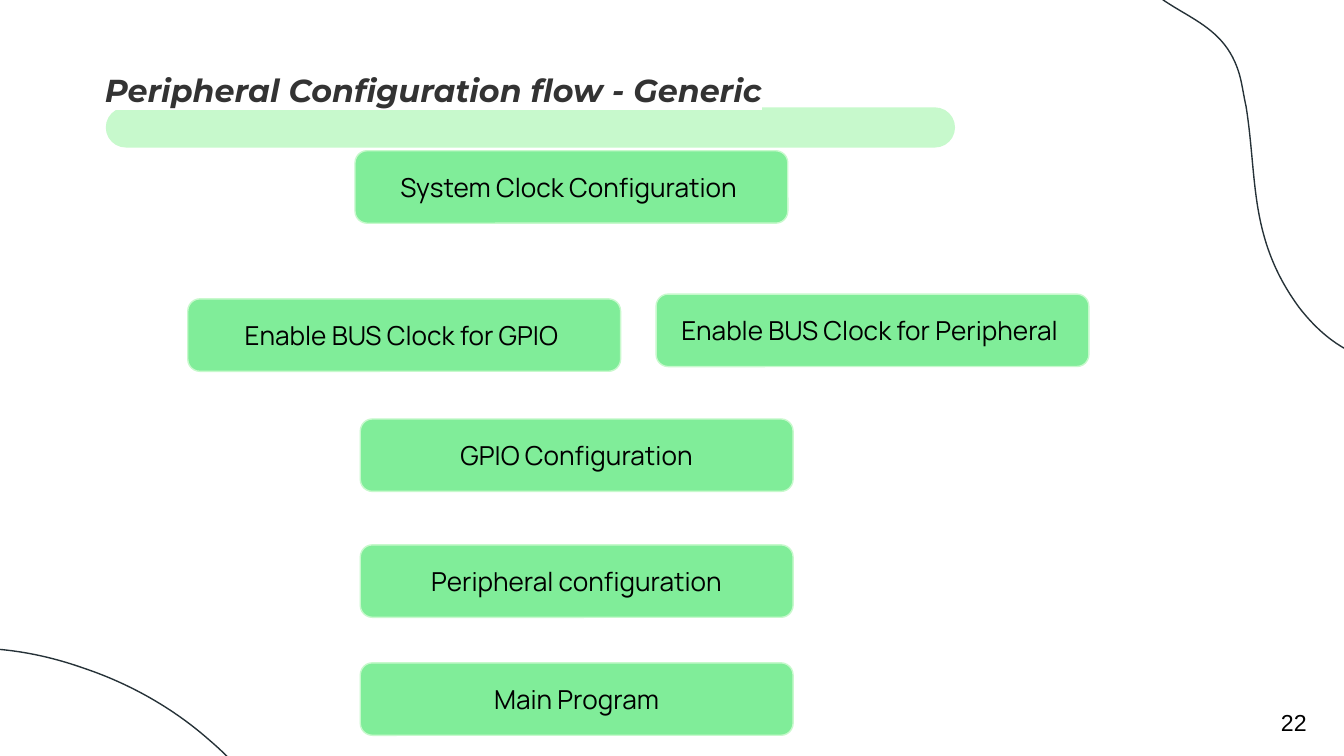
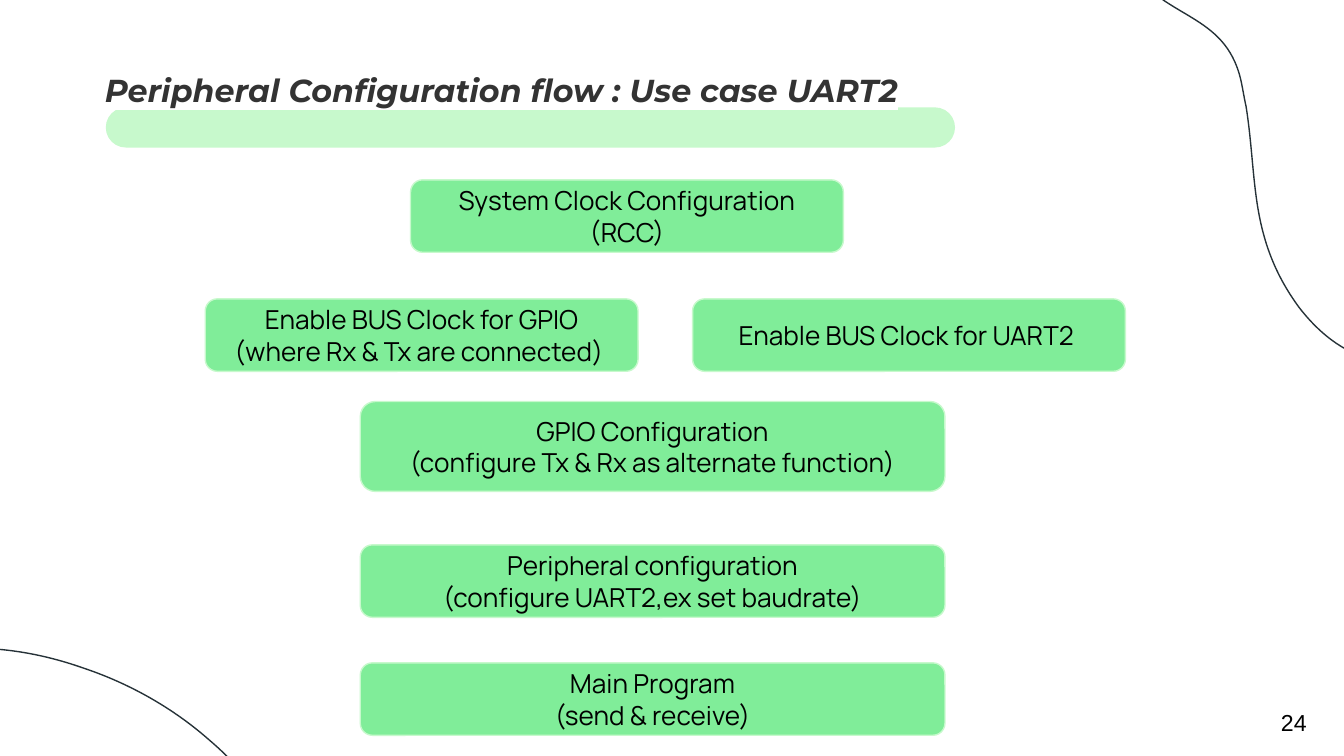
from copy import deepcopy
from math import cos, radians, sin

from lxml.etree import Element, SubElement
from pptx import Presentation
from pptx.dml.color import RGBColor
from pptx.enum.shapes import MSO_SHAPE as Preset
from pptx.enum.text import MSO_ANCHOR as Anchor, MSO_AUTO_SIZE as AutoSize, PP_ALIGN as Align
from pptx.oxml.ns import qn
from pptx.util import Cm, Pt

COLORS = {
    "step": "80ED99",
    "pale": "C7F9CC",
    "curve": "263238",
    "title": "333333",
    "text": "000000",
    "paper": "FFFFFF",
}

BOX_WIDTH, BOX_HEIGHT = 8.18, 1.37
WIDE = 11.05
COLUMN = 6.81
BUS_TOP, PERIPHERAL_TOP, MAIN_TOP = 5.65, 10.3, 12.53

BLOB_WIDTH, BLOB_HEIGHT = 11.23, 8.26
BLOB_ANGLE = 261.3
BLOB_CENTER = (25.73, 1.51)
CORNER_BLOBS = [(BLOB_CENTER, BLOB_ANGLE), ((0.41, 16.37), 220.5)]
BLOB_CURVES = [
    (21.13, -1.19),
    (21.18, -0.99), (21.29, -0.74), (21.44, -0.51),
    (22.1, 0.38), (23.22, 0.28), (23.47, 1.6),
    (23.5, 1.75), (23.52, 1.88), (23.55, 2.01),
    (23.65, 2.64), (23.67, 3.23), (23.75, 3.78),
    (23.85, 4.47), (24.05, 5.13), (24.56, 5.82),
    (25.45, 6.96), (26.49, 7.06), (27.64, 6.63),
    (29.62, 5.92), (30.28, 4.01), (29.97, 2.01),
    (29.85, 1.14), (29.54, 0.25), (29.06, -0.56),
    (27.58, -3.15), (24.94, -4.06), (22.61, -3.05),
    (21.89, -2.77), (21.01, -2.08), (21.13, -1.19),
]

SLIDES = [
    ("Peripheral Configuration flow - Generic", "22", [
        ("System Clock Configuration ", 6.71, 2.85),
        ("Enable BUS Clock for GPIO ", 3.55, BUS_TOP),
        ("GPIO Configuration", COLUMN, 7.92),
        ("Peripheral configuration", COLUMN, PERIPHERAL_TOP),
        ("Main Program", COLUMN, MAIN_TOP),
        ("Enable BUS Clock for Peripheral ", 12.4, 5.56),
    ]),
    ("Peripheral Configuration flow : Use case UART2", "24", [
        ("System Clock Configuration (RCC)", 7.76, 3.4),
        ("Enable BUS Clock for GPIO\n(where Rx & Tx are connected) ", 3.88, BUS_TOP),
        ("GPIO Configuration\v(configure Tx & Rx as alternate function)", COLUMN, 7.59, WIDE, 1.7),
        ("Peripheral configuration\v(configure UART2,ex set baudrate)", COLUMN, PERIPHERAL_TOP, WIDE),
        ("Main Program\v(send & receive)", COLUMN, MAIN_TOP, WIDE),
        ("Enable BUS Clock for UART2 ", 13.09, BUS_TOP),
    ]),
]


def color(name):
    return RGBColor.from_string(COLORS[name])


def write(shape, text, *, size, font, ink="text", bold=False, italic=False,
          align=Align.LEFT, anchor=Anchor.MIDDLE, inset=0.25, highlight=None):
    frame = shape.text_frame
    frame.text = text
    frame.word_wrap = True
    frame.auto_size = AutoSize.NONE
    frame.vertical_anchor = anchor
    frame.margin_left = frame.margin_right = Cm(inset)
    frame.margin_top = frame.margin_bottom = Cm(inset)
    for para in frame.paragraphs:
        para.alignment = align
        for span in para.runs:
            span.font.size = Pt(size)
            span.font.name = font
            span.font.bold = bold
            span.font.italic = italic
            span.font.color.rgb = color(ink)
    properties = next(shape.element.iter(qn("a:rPr")))
    if highlight:
        mark = Element(qn("a:highlight"))
        SubElement(mark, qn("a:srgbClr"), val=COLORS[highlight])
        properties.find(qn("a:solidFill")).addnext(mark)
    for line_break in shape.element.iter(qn("a:br")):
        line_break.insert(0, deepcopy(properties))


def add_rounded(page, left, top, width, height, fill):
    box = page.shapes.add_shape(Preset.ROUNDED_RECTANGLE, Cm(left), Cm(top), Cm(width), Cm(height))
    box.shadow.inherit = False
    box.fill.solid()
    box.fill.fore_color.rgb = color(fill)
    box.line.fill.background()
    return box


def outline(shape, name):
    shape.line.color.rgb = color(name)
    shape.line.width = Pt(0.75)


def blob_points():
    turn = radians(-BLOB_ANGLE)
    for x, y in BLOB_CURVES:
        x, y = x - BLOB_CENTER[0], y - BLOB_CENTER[1]
        yield (Cm(x * cos(turn) - y * sin(turn) + BLOB_WIDTH / 2),
               Cm(x * sin(turn) + y * cos(turn) + BLOB_HEIGHT / 2))


def draw_curves(shape, points):
    outline_path = next(shape.element.iter(qn("a:path")))
    for segment in list(outline_path):
        outline_path.remove(segment)
    start, *rest = points
    segments = [("a:moveTo", [start])]
    segments += [("a:cubicBezTo", rest[i:i + 3]) for i in range(0, len(rest), 3)]
    for tag, ends in segments:
        segment = SubElement(outline_path, qn(tag))
        for x, y in ends:
            SubElement(segment, qn("a:pt"), x=str(int(x)), y=str(int(y)))
    SubElement(outline_path, qn("a:close"))


def add_blob(page, center, angle):
    left, top = center[0] - BLOB_WIDTH / 2, center[1] - BLOB_HEIGHT / 2
    builder = page.shapes.build_freeform(Cm(left), Cm(top))
    builder.add_line_segments([(Cm(left + BLOB_WIDTH), Cm(top + BLOB_HEIGHT))])
    blob = builder.convert_to_shape()
    draw_curves(blob, blob_points())
    blob.rotation = angle
    blob.shadow.inherit = False
    blob.fill.background()
    outline(blob, "curve")
    return blob


def decorate_layout(layout, page):
    for holder in list(layout.placeholders)[1:]:
        layout.shapes.element.remove(holder.element)
    band = add_rounded(page, 2, 2.03, 16.05, 0.76, "pale")
    band.adjustments[0] = 0.5
    blobs = [add_blob(page, center, angle) for center, angle in CORNER_BLOBS]
    for shape in [band, *blobs]:
        layout.shapes.element.append(shape.element)


def add_title(page, text):
    title = page.shapes.title
    title.left, title.top = Cm(1.73), Cm(1.08)
    title.width, title.height = Cm(23.06), Cm(1.7)
    write(title, text, size=17, font="Montserrat", ink="title", bold=True, italic=True,
          anchor=Anchor.TOP, highlight="paper")


def add_number(page, text):
    box = page.shapes.add_textbox(Cm(23.98), Cm(13.16), Cm(1.35), Cm(0.97))
    write(box, text, size=12.4, font="Arial", inset=0.23)


def add_step(page, text, left, top, width=BOX_WIDTH, height=BOX_HEIGHT):
    box = add_rounded(page, left, top, width, height, "step")
    outline(box, "pale")
    write(box, text, size=14, font="Manrope", align=Align.CENTER)


def main():
    deck = Presentation()
    deck.slide_width, deck.slide_height = Cm(25.4), Cm(14.29)
    layout = deck.slide_layouts[5]
    for index, (title, number, steps) in enumerate(SLIDES):
        page = deck.slides.add_slide(layout)
        if index == 0:
            decorate_layout(layout, page)
        add_title(page, title)
        add_number(page, number)
        for step in steps:
            add_step(page, *step)
    deck.save("out.pptx")


if __name__ == "__main__":
    main()
